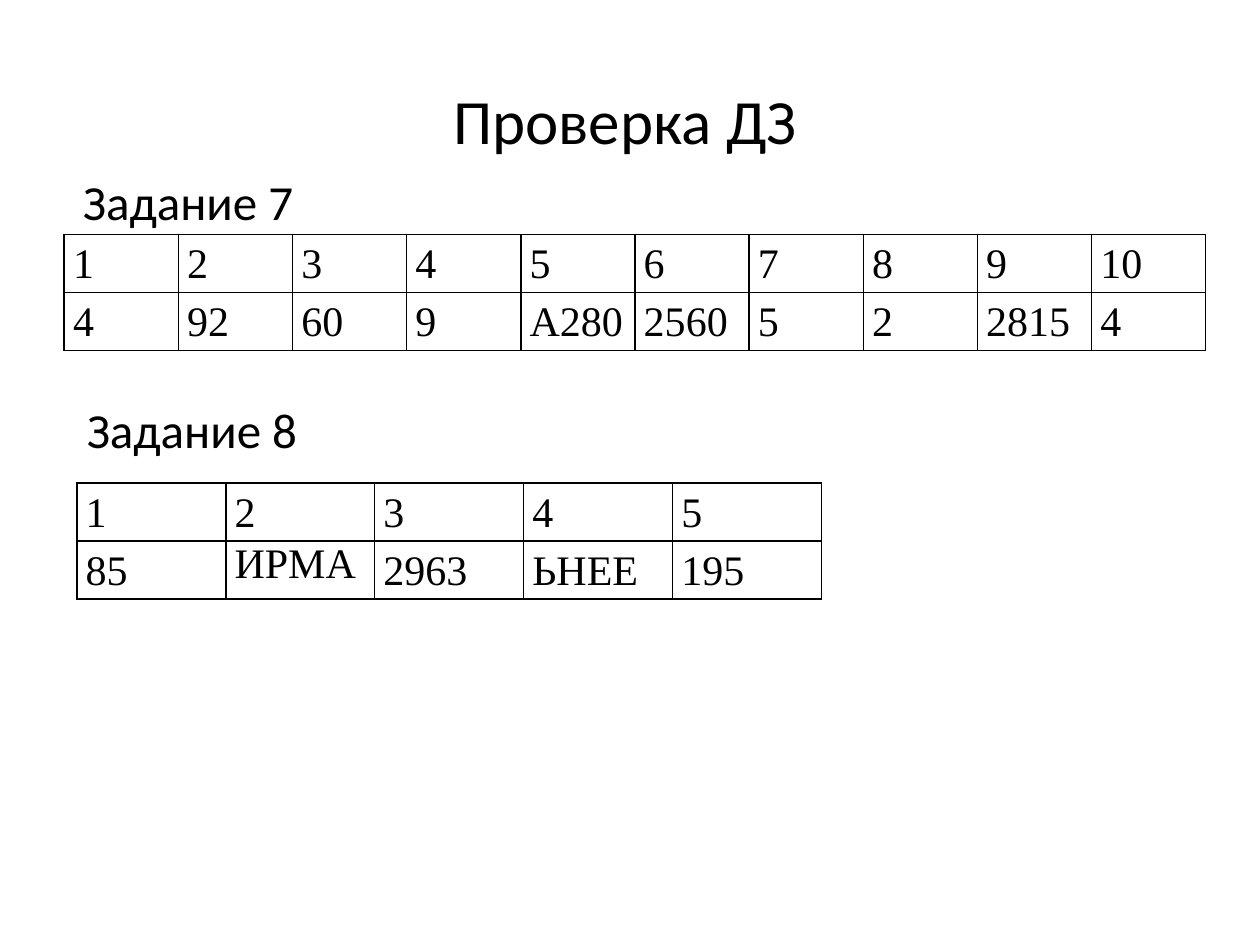
from lxml import etree
from pptx import Presentation
from pptx.dml.color import RGBColor
from pptx.enum.text import MSO_AUTO_SIZE, PP_ALIGN
from pptx.oxml.ns import qn
from pptx.util import Inches, Pt

BLACK = RGBColor(0, 0, 0)
JUSTIFY = PP_ALIGN.JUSTIFY
GROW = MSO_AUTO_SIZE.SHAPE_TO_FIT_TEXT
SANS, SERIF = "Calibri", "Times New Roman"
WIDE, HIGH = Inches(10), Inches(7.5)
ROW = 0.46 / 7.5


def scale(box):
    """Turn shares of the slide into lengths."""
    return [int(part * side) for part, side in zip(box, (WIDE, HIGH) * 2)]


def write(para, text, font, size):
    """Add one black run to a paragraph."""
    run = para.add_run()
    run.text = text
    run.font.name, run.font.size = font, Pt(size)
    run.font.color.rgb = BLACK


def label(slide, box, text, size):
    """Place a one-line heading in its box."""
    frame = slide.shapes.add_textbox(*scale(box)).text_frame
    frame.word_wrap = False
    frame.auto_size = GROW
    write(frame.paragraphs[0], text, SANS, size)


def border(cell):
    """Draw thin black lines round an unfilled cell."""
    props = cell._tc.get_or_add_tcPr()
    for side in ("a:lnL", "a:lnR", "a:lnT", "a:lnB"):
        line = etree.SubElement(props, qn(side), w=str(Pt(1)))
        fill = etree.SubElement(line, qn("a:solidFill"))
        etree.SubElement(fill, qn("a:srgbClr"), val=str(BLACK))
    cell.fill.background()


def grid(slide, left, top, width, rows, tight=()):
    """Place a table of answers; tight texts keep single spacing."""
    box = scale((left, top, width, ROW * len(rows)))
    table = slide.shapes.add_table(len(rows), len(rows[0]), *box).table
    table.first_row = table.horz_banding = False
    for r, row in enumerate(rows):
        for c, text in enumerate(row):
            cell = table.cell(r, c)
            cell.margin_left = cell.margin_right = Inches(0.07)
            cell.margin_top = cell.margin_bottom = 0
            para = cell.text_frame.paragraphs[0]
            para.alignment = JUSTIFY
            para.line_spacing = 1.0 if text in tight else 1.15
            write(para, text, SERIF, 24)
            border(cell)


def build():
    """Build the homework check slide."""
    deck = Presentation()
    deck.slide_width, deck.slide_height = WIDE, HIGH
    slide = deck.slides.add_slide(deck.slide_layouts[6])
    label(slide, (0.35, 0.08, 0.295, 0.095), "Проверка ДЗ", 36)
    label(slide, (0.056, 0.175, 0.189, 0.076), "Задание 7", 28)
    label(slide, (0.059, 0.416, 0.189, 0.076), "Задание 8", 28)
    seven = ["4", "92", "60", "9", "А280", "2560", "5", "2", "2815", "4"]
    eight = ["85", "ИРМА", "2963", "ЬНЕЕ", "195"]
    for left, top, width, row in ((0.051, 0.248, 0.906, seven),
                                  (0.061, 0.511, 0.591, eight)):
        heads = [str(n + 1) for n in range(len(row))]
        grid(slide, left, top, width, [heads, row], tight=("ИРМА",))
    deck.save("out.pptx")


build()
